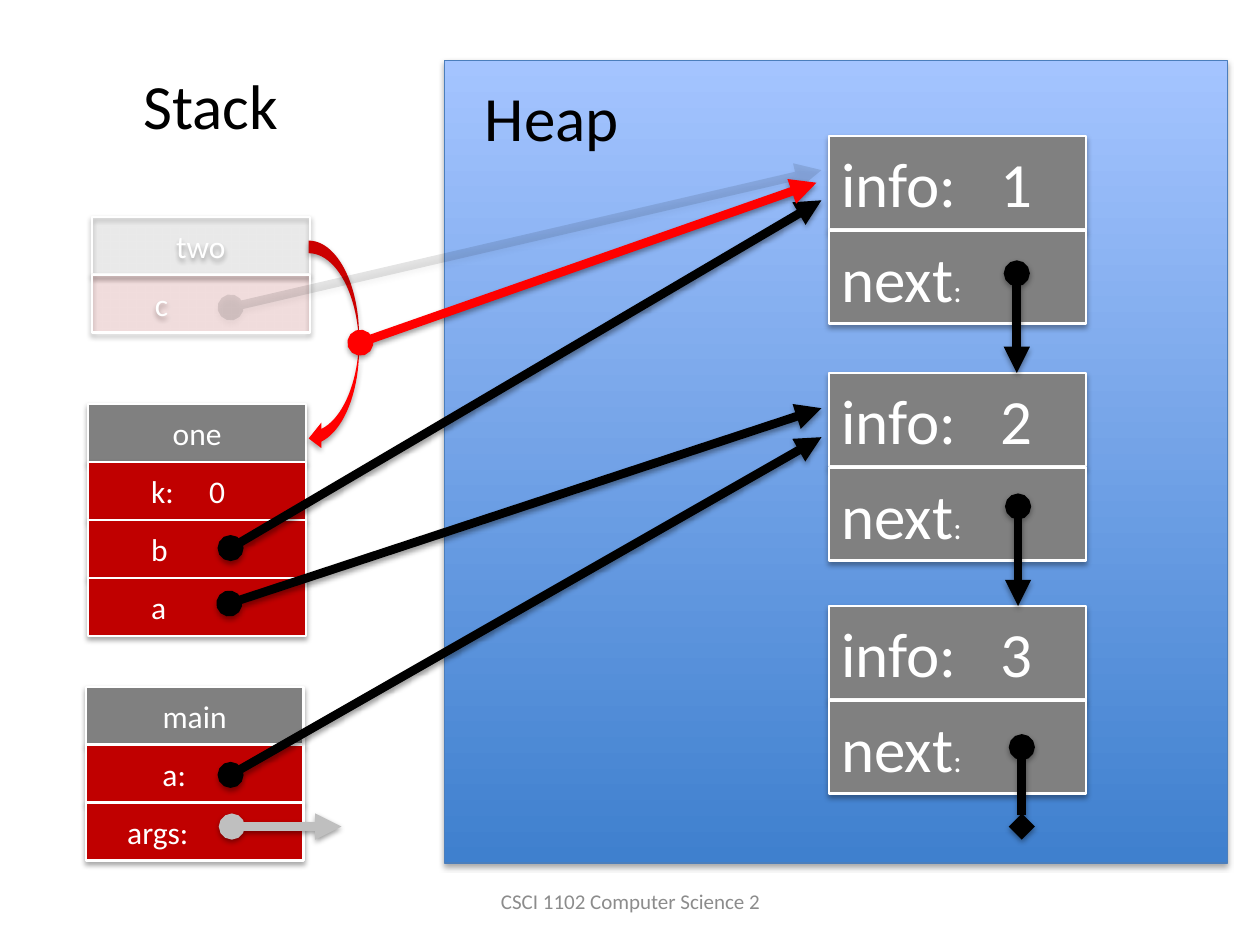
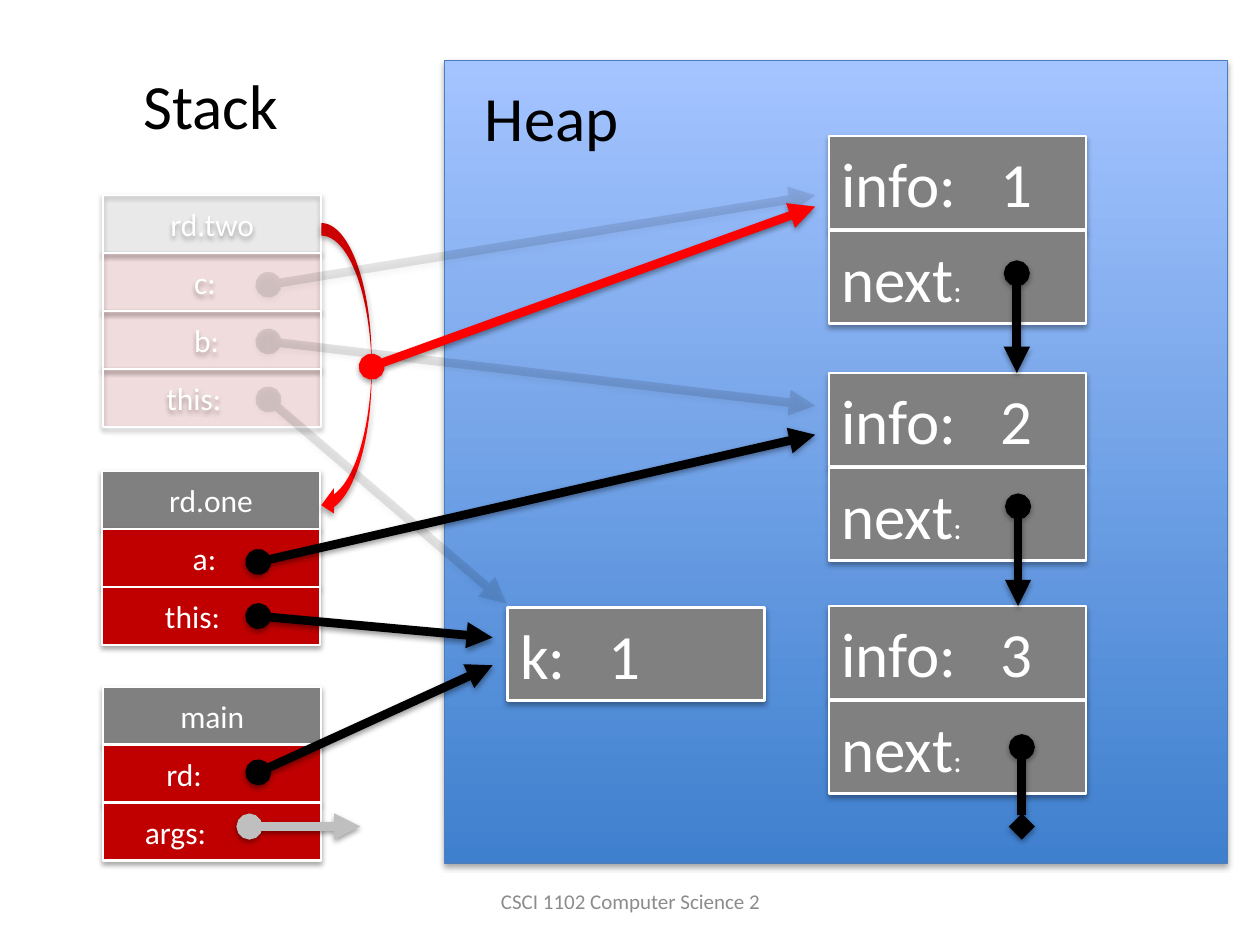
from lxml import etree
from pptx import Presentation
from pptx.dml.color import RGBColor
from pptx.enum.shapes import MSO_CONNECTOR, MSO_SHAPE
from pptx.enum.text import MSO_ANCHOR, PP_ALIGN
from pptx.oxml.ns import qn
from pptx.util import Inches, Pt

RECT, CURVE = MSO_SHAPE.RECTANGLE, MSO_SHAPE.CURVED_LEFT_ARROW
LINE = MSO_CONNECTOR.STRAIGHT
LEFT, MID = PP_ALIGN.LEFT, PP_ALIGN.CENTER
CENTER = MSO_ANCHOR.MIDDLE

FONT = "Calibri"
BLACK, WHITE, GRAY, SILVER = "000000", "FFFFFF", "808080", "BFBFBF"
CRIMSON, RED, FOOT, EDGE = "C00000", "FF0000", "8C8C8C", "4B7EBC"
DEEP, PALE = "3F80CE", "A4C4FF"

# Stack frames and heap nodes
ROW_W, ROW_H = 1.73, 0.46
NODE_X, NODE_W, NODE_H, NODE_GAP = 6.58, 2.04, 0.74, 0.75
NODES = [("1", 1.08), ("2", 2.96), ("3", 4.81)]
INFO_TAB, KEY_TAB, SMALL_TAB = 1.26, 0.7, 0.46

# Links between heap nodes: x, top, bottom, end mark
NEXT = [(8.07, 2.17, 2.96, "triangle"),
        (8.08, 4.02, 4.81, "triangle"),
        (8.11, 5.93, 6.56, "diamond")]

# Each frame: left, top, opacity, name, rows of (label, inset)
# Each arrow: x1, y1, x2, y2, colour, opacity
PAGES = [
    {"frames": [
        (0.68, 5.45, 100, "main", [("a:", 0.61), ("args:", 0.33)]),
        (0.7, 3.21, 100, "one", [("k:\t0", 0.5), ("b", 0.5), ("a", 0.5)]),
        (0.73, 1.72, 10, "two", [("c", 0.5)])],
     "keys": [],
     "arrows": [
        (1.83, 6.15, 6.52, 3.47, BLACK, 100),
        (1.84, 6.56, 2.71, 6.56, SILVER, 100),
        (1.82, 4.79, 6.52, 3.24, BLACK, 100),
        (1.83, 4.35, 6.52, 1.59, BLACK, 100),
        (1.83, 2.44, 6.52, 1.35, BLACK, 10)],
     "curve": (2.45, 1.91, 0.4, 1.67),
     "result": (2.86, 2.72, 6.48, 1.45, RED, 100)},
    {"frames": [
        (0.82, 5.45, 100, "main", [("rd:", 0.5), ("args:", 0.33)]),
        (0.81, 3.74, 100, "rd.one", [("a:", 0.72), ("this:", 0.5)]),
        (0.82, 1.55, 10, "rd.two",
         [("c:", 0.72), ("b:", 0.72), ("this:", 0.5)])],
     "keys": [("k:\t1", 4.03, 4.82)],
     "arrows": [
        (1.98, 6.56, 2.86, 6.56, SILVER, 100),
        (2.05, 6.13, 3.91, 5.28, BLACK, 100),
        (2.05, 4.89, 3.91, 5.06, BLACK, 100),
        (2.05, 4.46, 6.47, 3.45, BLACK, 100),
        (2.13, 3.17, 4.02, 4.79, BLACK, 10),
        (2.13, 2.71, 6.47, 3.22, BLACK, 11),
        (2.13, 2.26, 6.47, 1.55, BLACK, 10)],
     "curve": (2.55, 1.77, 0.4, 2.34),
     "result": (2.95, 2.91, 6.47, 1.64, RED, 100)},
]


def paint(shape, fill, code, alpha=100):
    fill.solid()
    fill.fore_color.rgb = RGBColor.from_string(code)
    if alpha < 100:
        tint = shape.element.xpath(f".//a:srgbClr[@val='{code}']")[0]
        etree.SubElement(tint, qn("a:alpha"), val=str(alpha * 1000))


def write(shape, runs, code, align=LEFT, tab=None):
    para = shape.text_frame.paragraphs[0]
    para.alignment = align
    for text, size in runs:
        run = para.add_run()
        run.text = text
        run.font.name, run.font.size = FONT, Pt(size)
        paint(shape, run.font.fill, code)
    if tab:
        stops = etree.SubElement(para._p.get_or_add_pPr(), qn("a:tabLst"))
        etree.SubElement(stops, qn("a:tab"), pos=str(Inches(tab)), algn="l")


deck = Presentation()
deck.slide_width, deck.slide_height = Inches(10), Inches(7.5)

# Theme shadows stay on for boxes and arrows
for page in PAGES:
    shapes = deck.slides.add_slide(deck.slide_layouts[6]).shapes

    # Heap panel
    heap = shapes.add_shape(RECT, *map(Inches, (3.53, 0.48, 6.21, 6.37)))
    heap.fill.gradient()
    heap.fill.gradient_angle = 90
    for stop, code in zip(heap.fill.gradient_stops, (DEEP, PALE)):
        stop.color.rgb = RGBColor.from_string(code)
    paint(heap, heap.line.fill, EDGE)
    heap.line.width = Pt(0.75)

    # Headings and footer
    for text, x, y, w in [("Heap", 3.75, 0.57, 1.27),
                          ("Stack", 1.04, 0.48, 1.28)]:
        head = shapes.add_textbox(*map(Inches, (x, y, w, 0.71)))
        head.text_frame.word_wrap = False
        write(head, [(text, 36)], BLACK)
    foot = shapes.add_textbox(*map(Inches, (3.42, 6.95, 3.17, 0.4)))
    foot.text_frame.word_wrap = True
    foot.text_frame.vertical_anchor = CENTER
    write(foot, [("CSCI 1102 Computer Science 2", 12)], FOOT, MID)

    # Gather boxes: place, colour, opacity, border, runs, align, inset, tab
    boxes = []
    for x, y, alpha, name, rows in page["frames"]:
        boxes.append(((x, y, ROW_W, ROW_H), GRAY, alpha, 1.25,
                      [(name, 18)], MID, 0.1, None))
        for i, (label, inset) in enumerate(rows, 1):
            boxes.append(((x, y + i * ROW_H, ROW_W, ROW_H), CRIMSON, alpha,
                          1.25, [(label, 18)], LEFT, inset,
                          SMALL_TAB if "\t" in label else None))
    cells = [([(label, 36)], x, y, KEY_TAB) for label, x, y in page["keys"]]
    for value, y in NODES:
        cells.append(([(f"info:\t{value}", 36)], NODE_X, y, INFO_TAB))
        cells.append(([("next", 36), (":", 18)], NODE_X, y + NODE_GAP, None))
    for runs, x, y, tab in cells:
        boxes.append(((x, y, NODE_W, NODE_H), GRAY, 100, 1.5,
                      runs, LEFT, 0.1, tab))

    # Draw boxes
    for place, code, alpha, width, runs, align, inset, tab in boxes:
        box = shapes.add_shape(RECT, *map(Inches, place))
        paint(box, box.fill, code, alpha)
        paint(box, box.line.fill, WHITE)
        box.line.width = Pt(width)
        box.text_frame.margin_left = Inches(inset)
        box.text_frame.vertical_anchor = CENTER
        write(box, runs, WHITE, align, tab)

    # Return arrow from the finished call to its caller
    curve = shapes.add_shape(CURVE, *map(Inches, page["curve"]))
    paint(curve, curve.fill, RED)
    curve.line.fill.background()

    # Reference arrows, with the returned one on top
    links = [(x, top, x, end, BLACK, 100, mark) for x, top, end, mark in NEXT]
    links += [(*item, "triangle") for item in page["arrows"]]
    links.append((*page["result"], "triangle"))
    for *ends, code, alpha, mark in links:
        link = shapes.add_connector(LINE, *map(Inches, ends))
        link.line.width = Pt(5)
        paint(link, link.line.fill, code, alpha)
        stroke = link.element.xpath(".//a:ln")[0]
        etree.SubElement(stroke, qn("a:headEnd"), type="oval")
        etree.SubElement(stroke, qn("a:tailEnd"), type=mark)

deck.save("out.pptx")
